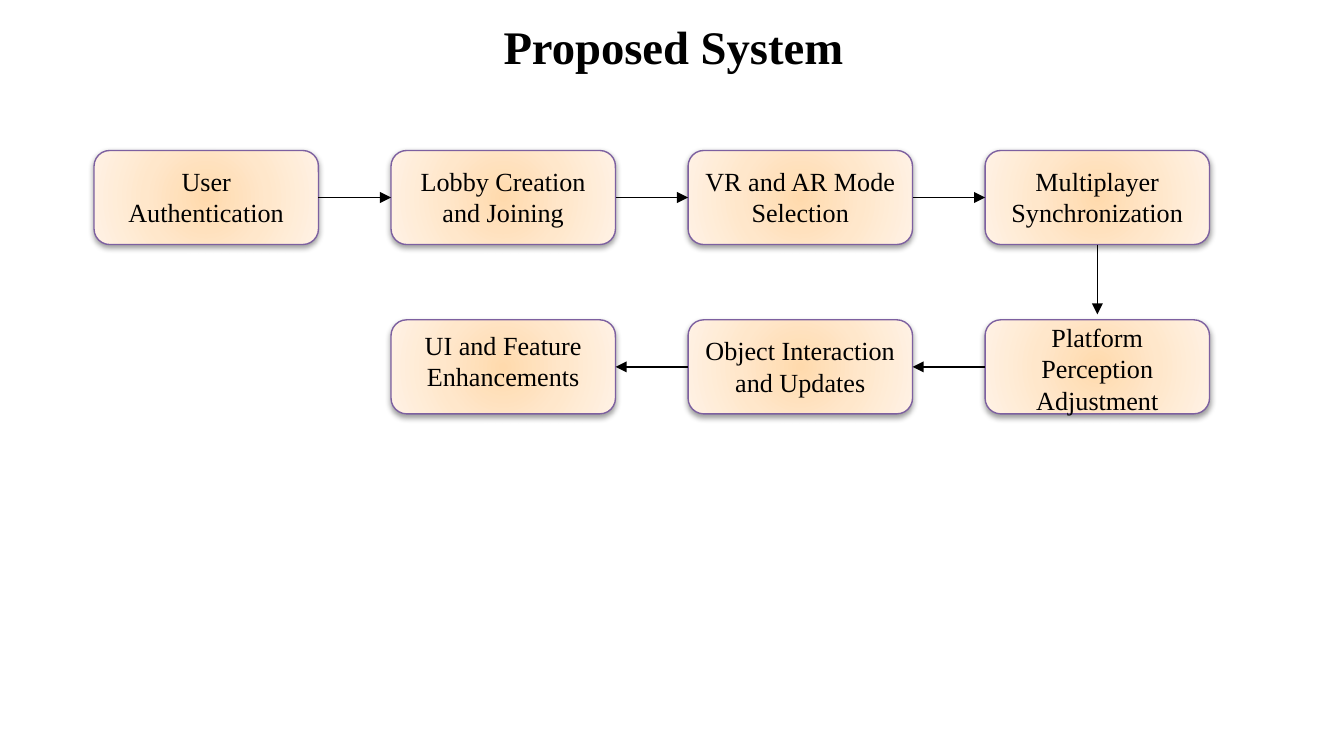
from pptx import Presentation
from pptx.dml.color import RGBColor
from pptx.enum.shapes import MSO_CONNECTOR, MSO_SHAPE
from pptx.enum.text import MSO_ANCHOR, PP_ALIGN
from pptx.oxml import parse_xml
from pptx.oxml.ns import nsdecls, qn
from pptx.util import Inches, Pt

COLORS = {
    "ink": "000000",
    "border": "7D60A0",
    "center": "FFDAAD",
    "middle": "FFE7CB",
    "edge": "FFF2E5",
}
TITLE_FORMAT = {"name": "Times New Roman", "size": Pt(25), "bold": True}
STEP_FORMAT = {"name": "Times New Roman", "size": Pt(14), "bold": False}

SLIDE_WIDTH = 10
SLIDE_HEIGHT = SLIDE_WIDTH * 9 / 16
STEP_WIDTH, STEP_HEIGHT = 1.67, 0.7
COLUMN_PITCH, ROW_PITCH = 2.21, 1.26
STEPS = [
    ("User Authentication", 0, 0, 0.06, 0.57),
    ("Lobby Creation and Joining", 1, 0, 0.06, 0.57),
    ("VR and AR Mode Selection", 2, 0, 0.06, 0.57),
    ("Multiplayer Synchronization", 3, 0, 0.06, 0.57),
    ("Platform Perception Adjustment", 3, 1, -0.04, 0.81),
    ("Object Interaction and Updates", 2, 1, 0.06, 0.57),
    ("UI and Feature Enhancements", 1, 1, 0.02, 0.57),
]


def add_text(page, text, left, top, width, height, formats, margins=None):
    box = page.shapes.add_textbox(Inches(left), Inches(top), Inches(width), Inches(height))
    frame = box.text_frame
    frame.word_wrap = True
    frame.vertical_anchor = MSO_ANCHOR.TOP
    for name, value in (margins or {}).items():
        setattr(frame, name, value)
    para = frame.paragraphs[0]
    para.alignment = PP_ALIGN.CENTER
    span = para.add_run()
    span.text = text
    for name, value in formats.items():
        setattr(span.font, name, value)
    span.font.color.rgb = RGBColor.from_string(COLORS["ink"])


def apply_radial_fill(shape):
    stops = "".join(
        f'<a:gs pos="{position * 1000}"><a:srgbClr val="{COLORS[name]}"/></a:gs>'
        for position, name in ((0, "center"), (50, "middle"), (100, "edge"))
    )
    gradient = parse_xml(
        f'<a:gradFill {nsdecls("a")} rotWithShape="1"><a:gsLst>{stops}</a:gsLst>'
        '<a:path path="circle"><a:fillToRect l="50000" t="50000" r="50000" b="50000"/>'
        "</a:path></a:gradFill>"
    )
    shape.fill.background()
    properties = shape._element.spPr
    properties.replace(properties.find(qn("a:noFill")), gradient)


def apply_shadow(shape):
    shape.shadow.inherit = False
    effects = shape._element.spPr.find(qn("a:effectLst"))
    effects.append(parse_xml(
        f'<a:outerShdw {nsdecls("a")} blurRad="{Pt(3.1)}" dist="{Pt(1.6)}" '
        f'dir="5400000" rotWithShape="0"><a:srgbClr val="{COLORS["ink"]}">'
        '<a:alpha val="38000"/></a:srgbClr></a:outerShdw>'
    ))


def add_step(page, text, left, top, text_offset, text_height):
    card = page.shapes.add_shape(
        MSO_SHAPE.ROUNDED_RECTANGLE,
        Inches(left), Inches(top), Inches(STEP_WIDTH), Inches(STEP_HEIGHT),
    )
    apply_radial_fill(card)
    card.line.color.rgb = RGBColor.from_string(COLORS["border"])
    card.line.width = Pt(0.75)
    apply_shadow(card)
    add_text(page, text, left, top + text_offset, STEP_WIDTH, text_height, STEP_FORMAT)


def add_arrow(page, start, end):
    arrow = page.shapes.add_connector(
        MSO_CONNECTOR.STRAIGHT, *(Inches(value) for value in (*start, *end))
    )
    arrow.line.color.rgb = RGBColor.from_string(COLORS["ink"])
    arrow.line.width = Pt(0.75)
    properties = arrow._element.spPr
    properties.find(qn("a:ln")).append(
        parse_xml(f'<a:tailEnd {nsdecls("a")} type="triangle"/>')
    )
    properties.append(parse_xml(f'<a:effectLst {nsdecls("a")}/>'))


def arrow_ends(origin, target):
    (left, top), (next_left, next_top) = origin, target
    middle = top + STEP_HEIGHT / 2
    if left == next_left:
        center = left + STEP_WIDTH / 2
        return (center, top + STEP_HEIGHT), (center, next_top - 0.04)
    if left < next_left:
        return (left + STEP_WIDTH, middle), (next_left, middle)
    return (left, middle), (next_left + STEP_WIDTH, middle)


def add_flow(page, left, top):
    corners = [
        (left + column * COLUMN_PITCH, top + row * ROW_PITCH)
        for _, column, row, _, _ in STEPS
    ]
    for (text, _, _, text_offset, text_height), corner in zip(STEPS, corners):
        add_step(page, text, *corner, text_offset, text_height)
    for origin, target in zip(corners, corners[1:]):
        add_arrow(page, *arrow_ends(origin, target))


def add_title(page, left, top, width, height):
    margins = {
        "margin_left": Inches(0.01), "margin_top": Inches(0.01),
        "margin_right": 0, "margin_bottom": 0,
    }
    add_text(page, "Proposed System", left, top, width, height, TITLE_FORMAT, margins)


def main():
    deck = Presentation()
    deck.slide_width, deck.slide_height = Inches(SLIDE_WIDTH), Inches(SLIDE_HEIGHT)
    page = deck.slides.add_slide(deck.slide_layouts[6])
    add_title(page, 0.16, 0.12, 9.69, 0.44)
    add_flow(page, 0.7, 1.12)
    deck.save("out.pptx")


if __name__ == "__main__":
    main()
